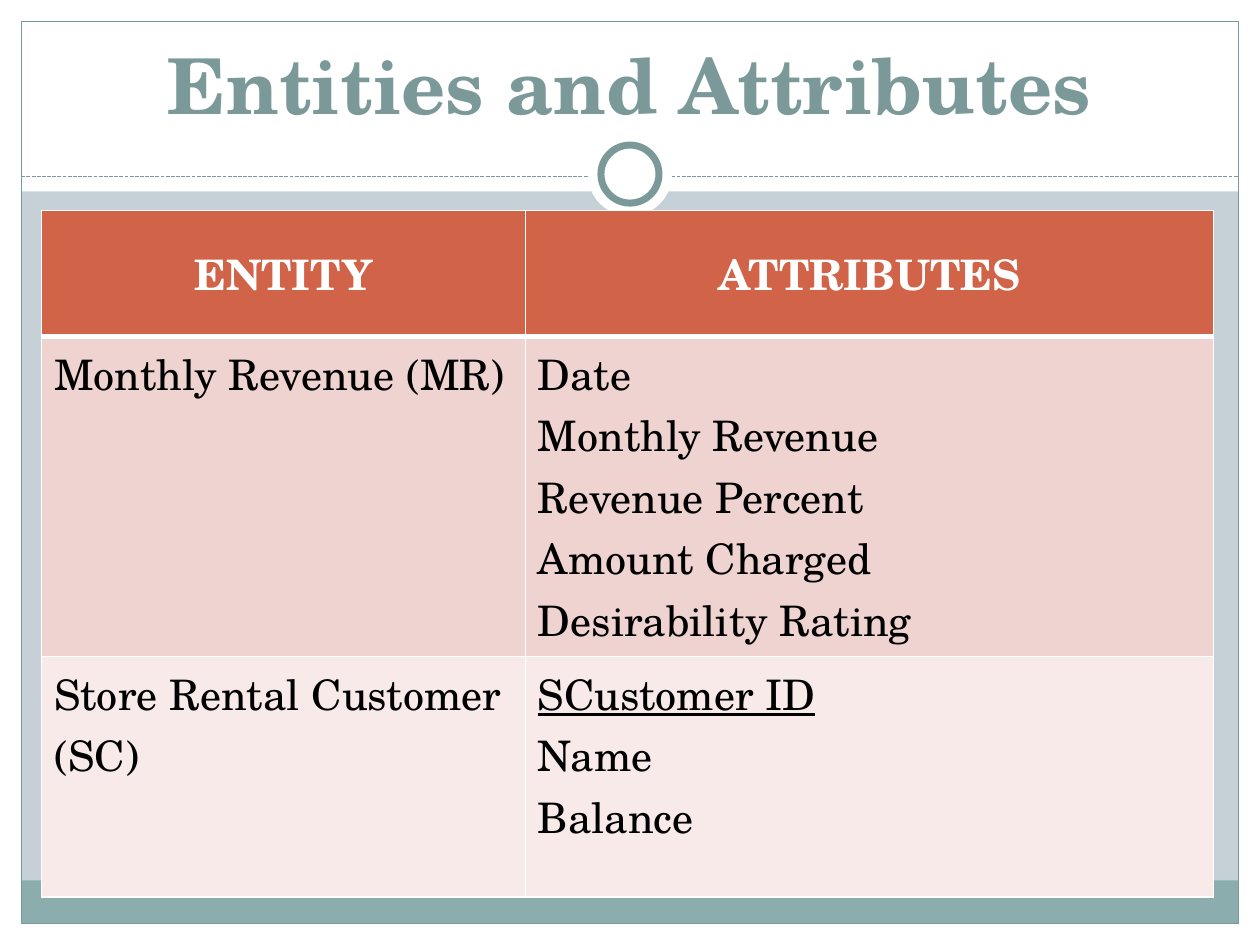
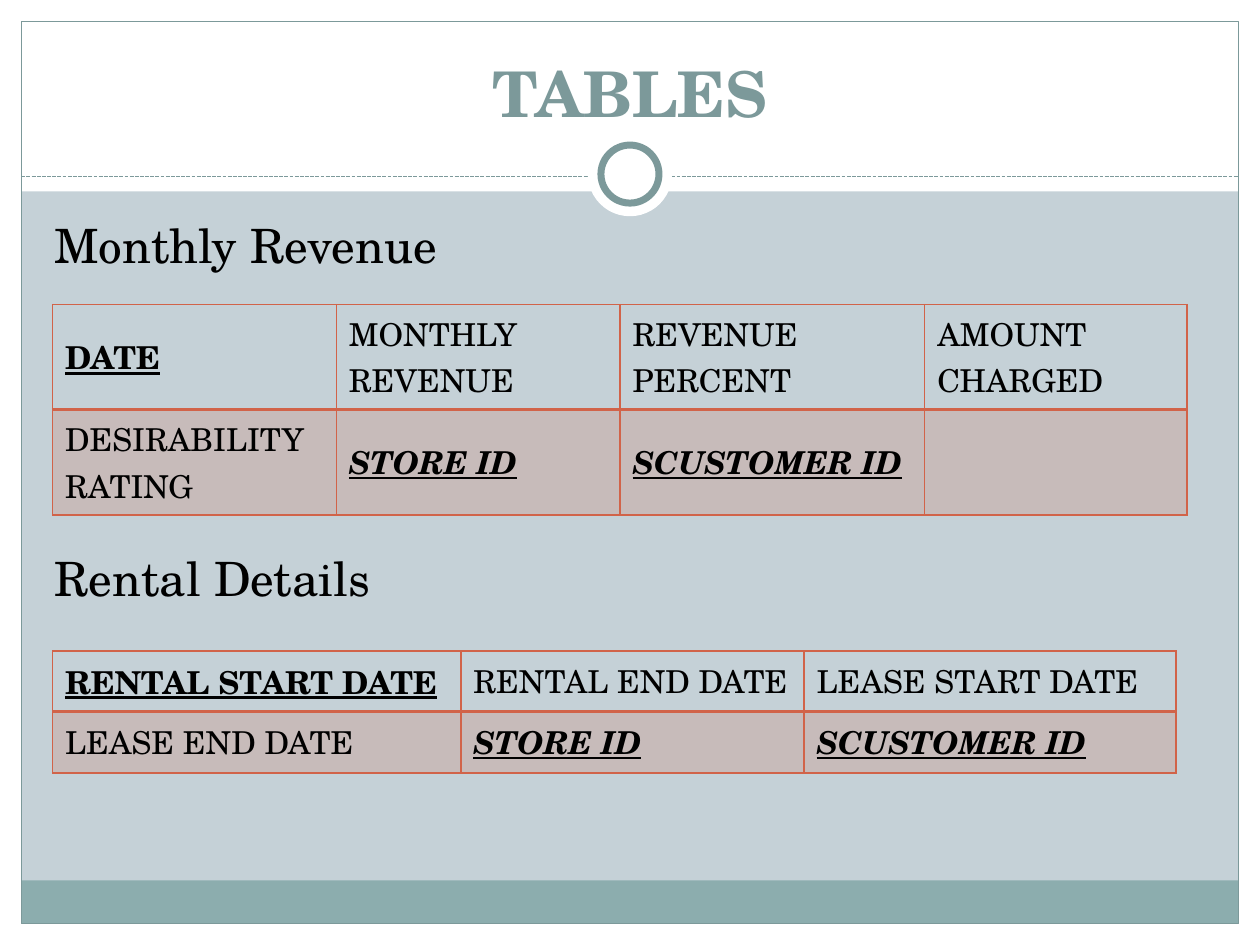
import dataclasses

import lxml.etree
import pptx
import pptx.dml.color
import pptx.enum.dml
import pptx.enum.shapes
import pptx.enum.text
import pptx.oxml
import pptx.oxml.ns
import pptx.util

Cm = pptx.util.Cm
Pt = pptx.util.Pt
SHAPE = pptx.enum.shapes.MSO_SHAPE
ALIGN = pptx.enum.text.PP_ALIGN
ANCHOR = pptx.enum.text.MSO_ANCHOR


@dataclasses.dataclass(frozen=True)
class Theme:
    font: str = "TeX Gyre Schola"
    paper: str = "C5D1D7"
    white: str = "FFFFFF"
    ink: str = "000000"
    teal: str = "7C999A"
    band: str = "8CADAE"
    accent: str = "D16349"
    row_dark: str = "EED3D0"
    row_light: str = "F7EAE9"
    long_title_size: int = 44
    title_size: int = 36
    heading_size: int = 27
    entity_size: int = 24
    column_size: int = 18
    hairline: float = 0.75
    ring_line: float = 4


THEME = Theme()
WIDTH, HEIGHT = 25.4, 19.05
MARGIN = 0.43
HEADER_HEIGHT = 3.86
RULE_Y = 3.56
RING_Y = 3.51
CONTENT_LEFT, CONTENT_TOP = 0.84, 4.24
TEXT_WIDTH = WIDTH - 2 * CONTENT_LEFT
TABLE_LEFT = 1.06

PLAIN = {"bold": False, "italic": False, "underline": False}
HEADER = PLAIN | {"bold": True}
UNDERLINED = PLAIN | {"underline": True}
PRIMARY_KEY = HEADER | {"underline": True}
FOREIGN_KEY = PRIMARY_KEY | {"italic": True}


def rgb(color):
    return pptx.dml.color.RGBColor.from_string(color)


def apply_format(target, values):
    for name, value in values.items():
        setattr(target, name, value)


def add_shape(page, kind, left, top, width, height, fill=None, line=None, weight=THEME.hairline):
    shape = page.shapes.add_shape(kind, Cm(left), Cm(top), Cm(width), Cm(height))
    shape.shadow.inherit = False
    if fill:
        shape.fill.solid()
        shape.fill.fore_color.rgb = rgb(fill)
    else:
        shape.fill.background()
    if line:
        shape.line.color.rgb = rgb(line)
        shape.line.width = Pt(weight)
    else:
        shape.line.fill.background()


def add_circle(page, diameter, **look):
    add_shape(page, SHAPE.OVAL, (WIDTH - diameter) / 2, RING_Y - diameter / 2,
              diameter, diameter, **look)


def add_dashed_rule(page):
    rule = page.shapes.add_connector(pptx.enum.shapes.MSO_CONNECTOR.STRAIGHT,
                                     Cm(MARGIN), Cm(RULE_Y), Cm(WIDTH - MARGIN), Cm(RULE_Y))
    rule.line.color.rgb = rgb(THEME.teal)
    rule.line.width = Pt(THEME.hairline)
    rule.line.dash_style = pptx.enum.dml.MSO_LINE.SQUARE_DOT
    lxml.etree.SubElement(rule._element.spPr, pptx.oxml.ns.qn("a:effectLst"))


def write_lines(frame, lines, size, color, align=ALIGN.LEFT):
    """Write one paragraph for each (text, format) pair."""
    for number, (text, values) in enumerate(lines):
        para = frame.add_paragraph() if number else frame.paragraphs[0]
        para.alignment = align
        span = para.add_run()
        span.text = text
        apply_format(span.font, {"name": THEME.font, "size": Pt(size)} | values)
        span.font.color.rgb = rgb(color)


def add_text(page, text, top, height, size, color, values=PLAIN,
             align=ALIGN.LEFT, anchor=ANCHOR.TOP):
    box = page.shapes.add_textbox(Cm(CONTENT_LEFT), Cm(top), Cm(TEXT_WIDTH), Cm(height))
    apply_format(box.text_frame, {"word_wrap": True, "vertical_anchor": anchor})
    write_lines(box.text_frame, [(text, values)], size, color, align)


def add_page(deck, title, title_size):
    """Add a slide with the shared frame, bands, ring and title."""
    page = deck.slides.add_slide(deck.slide_layouts[6])
    page.background.fill.solid()
    page.background.fill.fore_color.rgb = rgb(THEME.paper)
    inner_width = WIDTH - 2 * MARGIN
    for left, top, width, height in (
            (0, HEIGHT - MARGIN, WIDTH, MARGIN), (0, 0, WIDTH, HEADER_HEIGHT),
            (0, 0, MARGIN, HEIGHT), (WIDTH - MARGIN, 0, MARGIN, HEIGHT)):
        add_shape(page, SHAPE.RECTANGLE, left, top, width, height, fill=THEME.white)
    add_shape(page, SHAPE.RECTANGLE, MARGIN, 17.75, inner_width, 0.87, fill=THEME.band)
    add_shape(page, SHAPE.RECTANGLE, MARGIN, MARGIN, inner_width, HEIGHT - 2 * MARGIN,
              line=THEME.teal)
    add_dashed_rule(page)
    add_circle(page, 1.7, fill=THEME.white)
    add_circle(page, 1.17, fill=THEME.white, line=THEME.teal, weight=THEME.ring_line)
    add_text(page, title, 0.64, 2.11, title_size, THEME.teal, HEADER,
             ALIGN.CENTER, ANCHOR.BOTTOM)
    return page


def set_borders(cell, color, top=1, bottom=1):
    properties = cell._tc.get_or_add_tcPr()
    for side, weight in (("L", 1), ("R", 1), ("T", top), ("B", bottom)):
        properties.append(pptx.oxml.parse_xml(
            f'<a:ln{side} {pptx.oxml.ns.nsdecls("a")} w="{Pt(weight)}"><a:solidFill>'
            f'<a:srgbClr val="{color}"/></a:solidFill></a:ln{side}>'))


def set_cell_fill(cell, color, opacity=100):
    cell.fill.solid()
    cell.fill.fore_color.rgb = rgb(color)
    tint = cell._tc.tcPr.find(pptx.oxml.ns.qn("a:solidFill"))[0]
    if opacity < 100:
        lxml.etree.SubElement(tint, pptx.oxml.ns.qn("a:alpha"), val=str(opacity * 1000))


def add_grid(page, left, top, widths, heights):
    """Add a table without the built-in header and banding."""
    table = page.shapes.add_table(len(heights), len(widths), Cm(left), Cm(top),
                                  Cm(sum(widths)), Cm(sum(heights))).table
    apply_format(table, {"first_row": False, "horz_banding": False})
    for column, width in zip(table.columns, widths):
        column.width = Cm(width)
    for row, height in zip(table.rows, heights):
        row.height = Cm(height)
    return table


def add_entity_table(page, header, entities):
    table = add_grid(page, CONTENT_LEFT, CONTENT_TOP, (9.75, 13.87), (2.54, 6.45, 4.85))
    fills = (THEME.accent, THEME.row_dark, THEME.row_light)
    rows = [[[(name, HEADER)] for name in header]]
    rows += [[[(entity, PLAIN)], attributes] for entity, attributes in entities]
    for row_number, (row, fill) in enumerate(zip(rows, fills)):
        is_header = row_number == 0
        for column_number, lines in enumerate(row):
            cell = table.cell(row_number, column_number)
            set_borders(cell, THEME.white, top=3 if row_number == 1 else 1,
                        bottom=3 if is_header else 1)
            set_cell_fill(cell, fill)
            cell.vertical_anchor = ANCHOR.MIDDLE if is_header else ANCHOR.TOP
            write_lines(cell.text_frame, lines, THEME.entity_size,
                        THEME.white if is_header else THEME.ink,
                        ALIGN.CENTER if is_header else ALIGN.LEFT)


def add_schema_table(page, top, widths, row_height, rows):
    """List the columns of a relation over two rows, the second one tinted."""
    table = add_grid(page, TABLE_LEFT, top, widths, [row_height] * len(rows))
    for row_number, row in enumerate(rows):
        for column_number in range(len(widths)):
            cell = table.cell(row_number, column_number)
            set_borders(cell, THEME.accent, top=2 if row_number else 1,
                        bottom=1 if row_number else 2)
            if row_number:
                set_cell_fill(cell, THEME.accent, opacity=20)
            else:
                cell.fill.background()
            cell.vertical_anchor = ANCHOR.MIDDLE
            write_lines(cell.text_frame, row[column_number:column_number + 1],
                        THEME.column_size, THEME.ink)


def main():
    deck = pptx.Presentation()
    apply_format(deck, {"slide_width": Cm(WIDTH), "slide_height": Cm(HEIGHT)})

    page = add_page(deck, "Entities and Attributes", THEME.long_title_size)
    revenue_attributes = ("Date", "Monthly Revenue", "Revenue Percent",
                          "Amount Charged", "Desirability Rating")
    add_entity_table(page, ("ENTITY", "ATTRIBUTES"), (
        ("Monthly Revenue (MR)", [(name, PLAIN) for name in revenue_attributes]),
        ("Store Rental Customer (SC)",
         [("SCustomer ID", UNDERLINED), ("Name", PLAIN), ("Balance", PLAIN)]),
    ))

    page = add_page(deck, "TABLES", THEME.title_size)
    foreign_keys = [("STORE ID", FOREIGN_KEY), ("SCUSTOMER ID", FOREIGN_KEY)]
    for heading, top in (("Monthly Revenue", CONTENT_TOP), ("Rental Details", 10.94)):
        add_text(page, heading, top, 1.65, THEME.heading_size, THEME.ink)
    add_schema_table(page, 6.14, (5.72, 5.72, 6.14, 5.29), 2.12, (
        [("DATE", PRIMARY_KEY), ("MONTHLY REVENUE", PLAIN),
         ("REVENUE PERCENT", PLAIN), ("AMOUNT CHARGED", PLAIN)],
        [("DESIRABILITY RATING", PLAIN), *foreign_keys],
    ))
    add_schema_table(page, 13.12, (8.23, 6.92, 7.5), 1.23, (
        [("RENTAL START DATE", PRIMARY_KEY), ("RENTAL END DATE", PLAIN),
         ("LEASE START DATE", PLAIN)],
        [("LEASE END DATE", PLAIN), *foreign_keys],
    ))
    deck.save("out.pptx")


if __name__ == "__main__":
    main()
